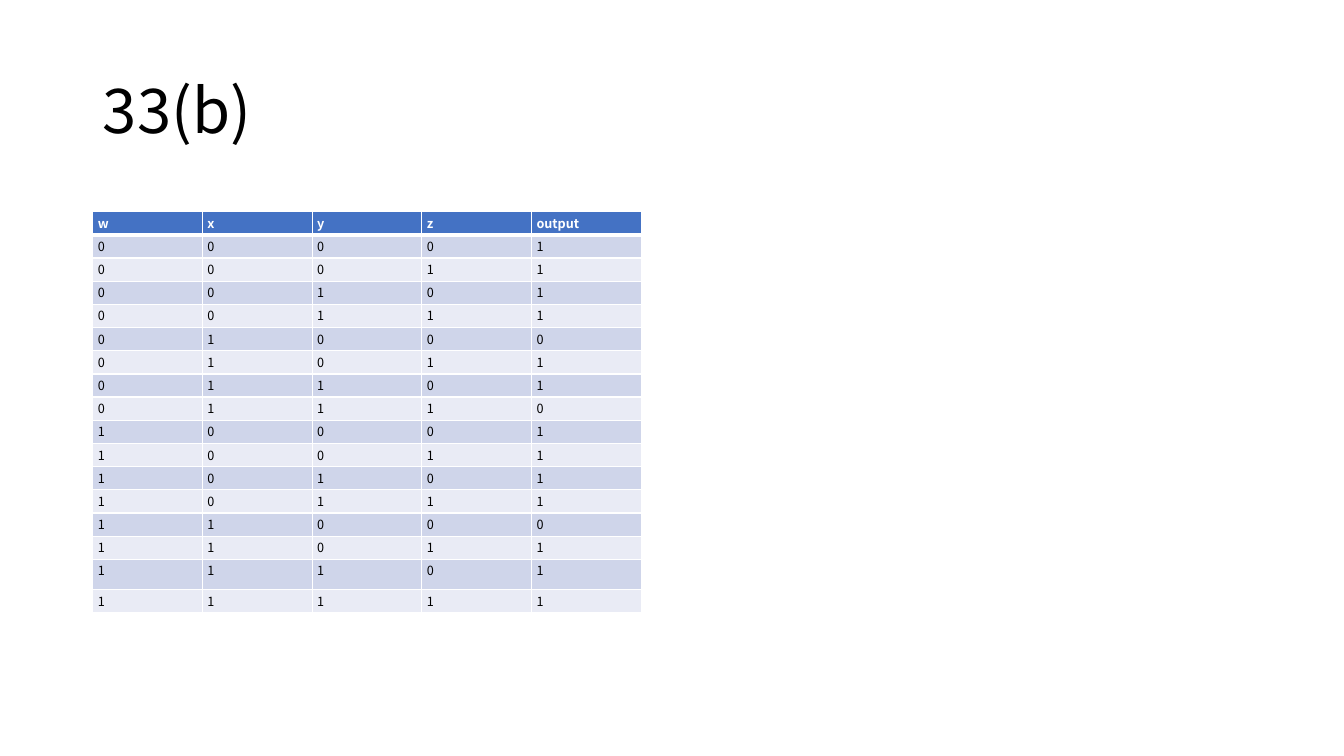
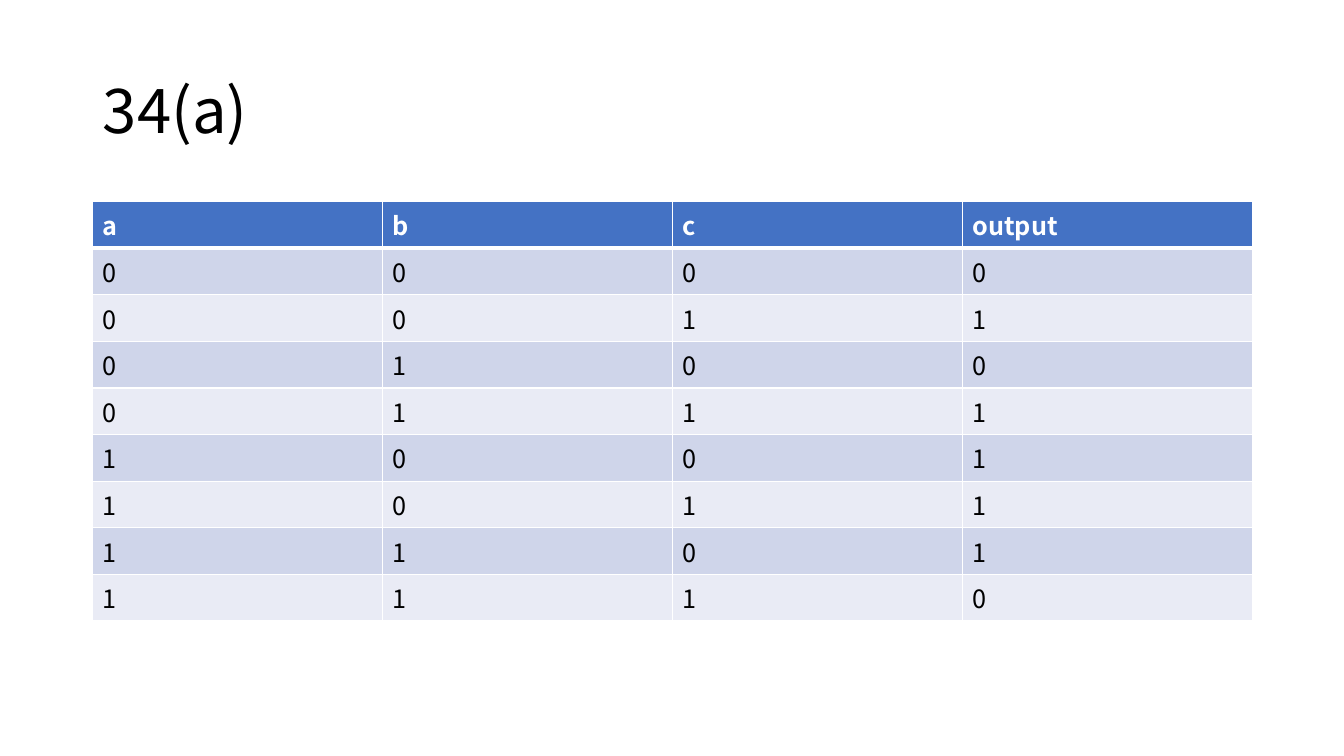
import itertools

import pptx
import pptx.dml.color
import pptx.enum.text
import pptx.oxml
import pptx.oxml.ns
import pptx.util

Inches = pptx.util.Inches
RGBColor = pptx.dml.color.RGBColor

# Shared style
FONT = "Noto Sans CJK SC"
BLACK = RGBColor(0x00, 0x00, 0x00)
WHITE = RGBColor(0xFF, 0xFF, 0xFF)
HEADER_BLUE = RGBColor(0x44, 0x72, 0xC4)
BANDS = [RGBColor(0xE9, 0xEB, 0xF5), RGBColor(0xCF, 0xD5, 0xEA)]
LEFT = Inches(0.92)


def write_text(text_frame, text, size, color=BLACK, bold=False, line_spacing=1.0):
    paragraph = text_frame.paragraphs[0]
    paragraph.alignment = pptx.enum.text.PP_ALIGN.LEFT
    paragraph.line_spacing = line_spacing
    run = paragraph.add_run()
    run.text = text
    run.font.name = FONT
    run.font.size = pptx.util.Pt(size)
    run.font.bold = bold
    run.font.color.rgb = color


def add_border(cell, side, width):
    properties = cell._tc.get_or_add_tcPr()
    properties.append(pptx.oxml.parse_xml(
        f'<a:{side} {pptx.oxml.ns.nsdecls("a")} w="{pptx.util.Pt(width)}">'
        f'<a:solidFill><a:srgbClr val="{WHITE}"/></a:solidFill></a:{side}>'))


presentation = pptx.Presentation()
presentation.slide_width = Inches(13.33)
presentation.slide_height = Inches(7.5)

# Title position, set once on the layout
layout = presentation.slide_layouts.get_by_name("Title Only")
layout_title = next(shape for shape in layout.placeholders
                    if shape.placeholder_format.idx == 0)
layout_title.left, layout_title.top = LEFT, Inches(0.4)
layout_title.width, layout_title.height = Inches(11.5), Inches(1.45)
layout_title.text_frame.vertical_anchor = pptx.enum.text.MSO_ANCHOR.MIDDLE
layout_title.text_frame.auto_size = pptx.enum.text.MSO_AUTO_SIZE.NONE

# Outputs are listed in binary counting order of the inputs
truth_tables = [
    dict(title="33(b)", inputs="wxyz", outputs="1111011011110111",
         top=2.1, width=5.44, row_height=0.23, tall_rows={15: 0.3},
         size=9, margins=(0.05, 0.02)),
    dict(title="34(a)", inputs="abc", outputs="01011110",
         top=2.0, width=11.5, row_height=0.46, tall_rows={},
         size=18, margins=(0.1, 0.05)),
]

for truth in truth_tables:
    slide = presentation.slides.add_slide(layout)
    write_text(slide.shapes.title.text_frame, truth["title"], size=44, line_spacing=0.9)

    # Header row, then every combination of inputs with its output
    combinations = itertools.product("01", repeat=len(truth["inputs"]))
    rows = [[*truth["inputs"], "output"]]
    rows += [[*bits, output] for bits, output in zip(combinations, truth["outputs"])]

    row_height = truth["row_height"]
    table = slide.shapes.add_table(
        len(rows), len(rows[0]), LEFT, Inches(truth["top"]),
        Inches(truth["width"]), Inches(row_height * len(rows))).table
    margin_x, margin_y = map(Inches, truth["margins"])

    for row_index, values in enumerate(rows):
        is_header = row_index == 0
        height = truth["tall_rows"].get(row_index, row_height)
        table.rows[row_index].height = Inches(height)
        for column_index, value in enumerate(values):
            cell = table.cell(row_index, column_index)
            cell.margin_left = cell.margin_right = margin_x
            cell.margin_top = cell.margin_bottom = margin_y
            for side in ("lnL", "lnR", "lnT", "lnB"):
                header_edge = (is_header and side == "lnB") or (row_index == 1 and side == "lnT")
                add_border(cell, side, 3 if header_edge else 1)
            cell.fill.solid()
            cell.fill.fore_color.rgb = HEADER_BLUE if is_header else BANDS[row_index % 2]
            write_text(cell.text_frame, value, size=truth["size"],
                       color=WHITE if is_header else BLACK, bold=is_header)

presentation.save("out.pptx")
